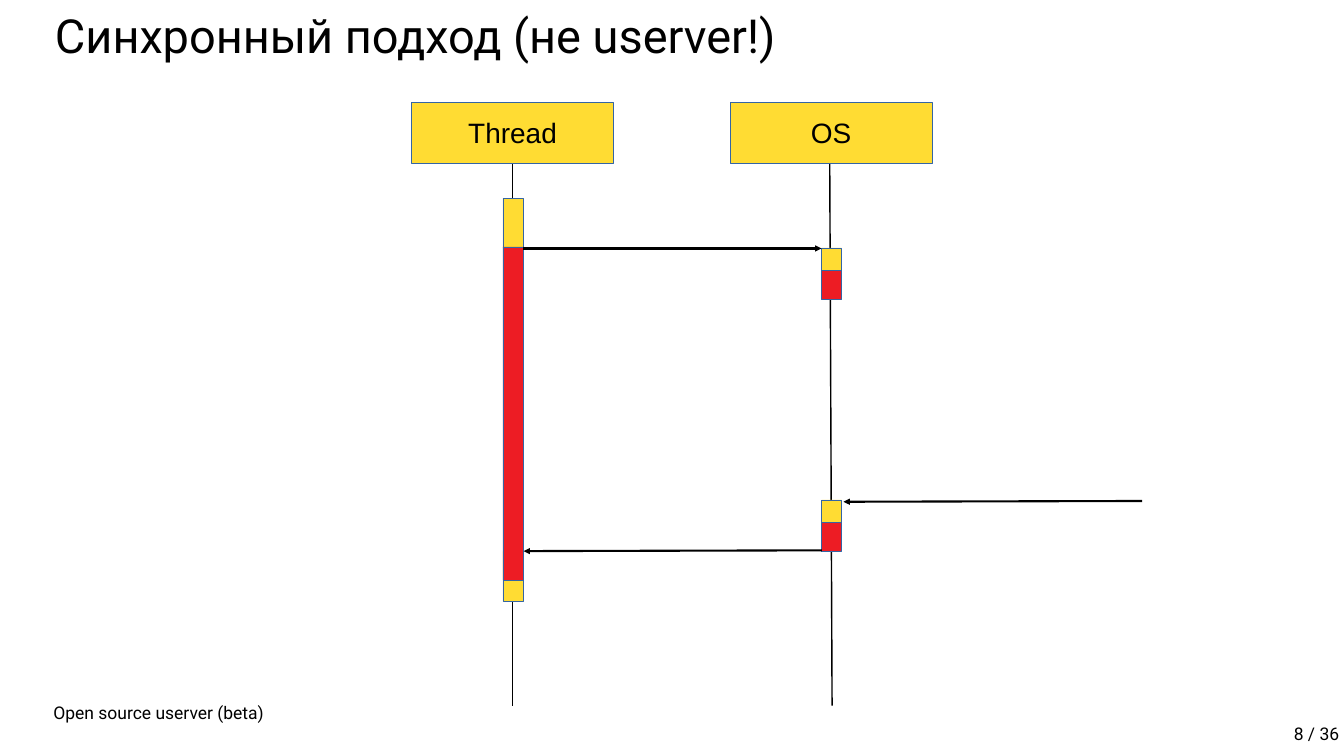
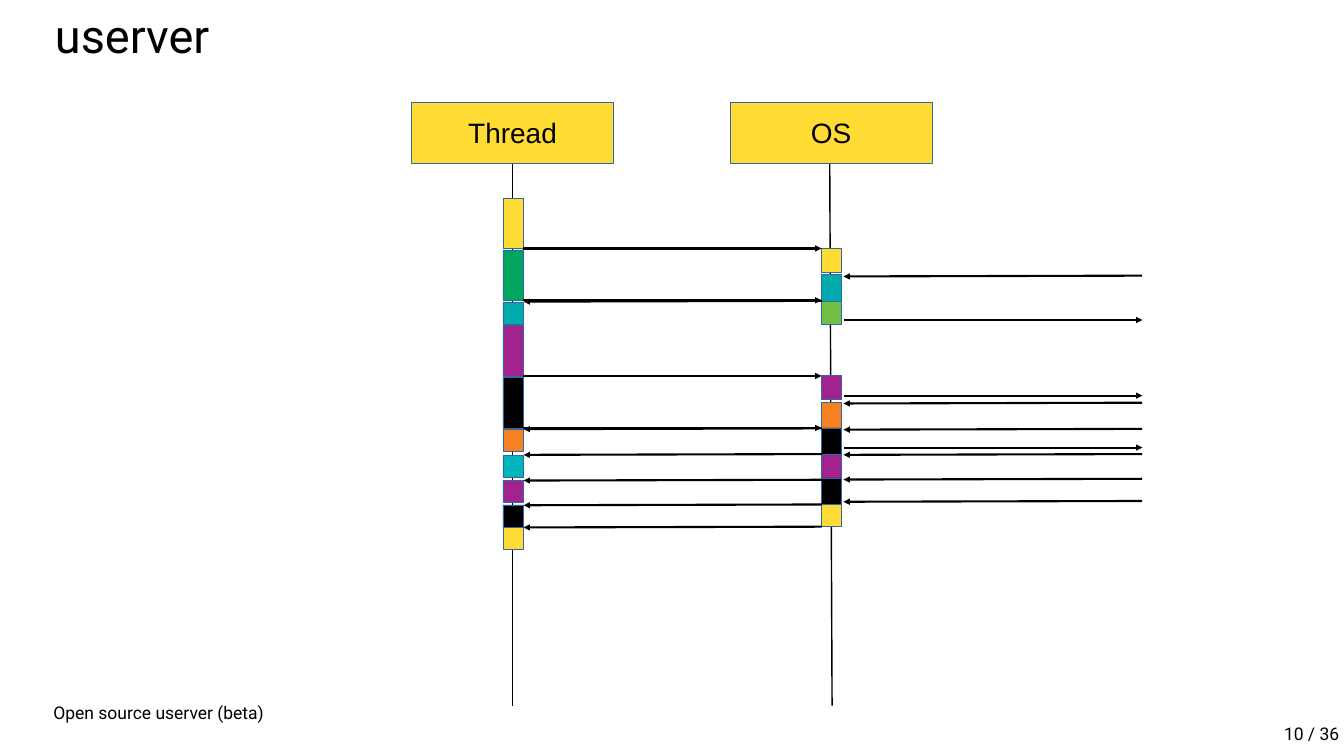
import pptx
import pptx.util
import pptx.dml.color
import pptx.enum.shapes
import pptx.enum.text
import pptx.oxml.ns
from lxml import etree

Pt = pptx.util.Pt
RGB = pptx.dml.color.RGBColor
ALIGN = pptx.enum.text.PP_ALIGN
ANCHOR = pptx.enum.text.MSO_ANCHOR

# Colours
BLACK = RGB(0x00, 0x00, 0x00)
YELLOW = RGB(0xFF, 0xDC, 0x33)
RED = RGB(0xED, 0x1C, 0x24)
GREEN = RGB(0x00, 0xA6, 0x5D)
LIME = RGB(0x72, 0xBF, 0x44)
TEAL = RGB(0x00, 0xAA, 0xAD)
CYAN = RGB(0x00, 0xB6, 0xBD)
PURPLE = RGB(0xA3, 0x23, 0x8E)
ORANGE = RGB(0xF5, 0x82, 0x20)
OUTLINE = RGB(0x34, 0x65, 0xA4)

# Sequence diagram geometry, in points
THREAD_X, OS_X, BAR_W = 718.5, 1173.6, 28.8
LONG, CALL_H, EVENT_H, RESUME_H = 72, 34.6, 37.4, 31.7
# Arrow kinds: start x, end x, drop along the arrow
CALL = (747.4, 1173.6, 0)
REPLY = (1174, 748, 1.1)
SEND = (1206, 1632, 0)
RECEIVE = (1631.5, 1205, 1.1)

# Blocks are (top, height, colour), listed from back to front
SYNC = dict(
    title="Синхронный подход (не userver!)",
    page="8 / 36",
    thread=[(283, LONG, YELLOW), (787.7, LONG - 30, YELLOW),
            (352.8, 475.9, RED)],
    os=[(354.2, LONG, YELLOW), (386.6, 41, RED),
        (714.2, LONG, YELLOW), (745.9, 41, RED)],
    arrows=[(CALL, [355]), (REPLY, [786.2]), (RECEIVE, [715.7])],
)
# The last thread block reaches below the waiting time
SYNC["thread"][1] = (787.7, LONG, YELLOW)

USERVER = dict(
    title="userver",
    page="10 / 36",
    thread=[(283, LONG, YELLOW), (357, LONG, GREEN), (431.3, RESUME_H, TEAL),
            (465.1, LONG, PURPLE), (539.3, LONG, BLACK),
            (612.7, RESUME_H, ORANGE), (650.2, RESUME_H, CYAN),
            (686.2, RESUME_H, PURPLE), (721.4, RESUME_H, BLACK),
            (753.1, RESUME_H, YELLOW)],
    os=[(354.2, CALL_H, YELLOW), (428.4, CALL_H, LIME), (392.4, EVENT_H, TEAL),
        (536.4, CALL_H, PURPLE), (574.6, EVENT_H, ORANGE),
        (715, EVENT_H, YELLOW), (647.3, EVENT_H, PURPLE),
        (611.3, EVENT_H, BLACK), (682.6, EVENT_H, BLACK)],
    arrows=[(CALL, [355, 429.1, 537.1, 611.3]),
            (REPLY, [429.8, 612, 648.7, 685.4, 720.7, 752.4]),
            (SEND, [457.2, 565.2, 639.4]),
            (RECEIVE, [393.8, 575.3, 612.7, 648.7, 684, 715.7])],
)


def set_text(tf, text, size, font="Roboto", align=ALIGN.LEFT,
             anchor=ANCHOR.TOP, spacing=0.9, wrap=True):
    tf.auto_size = pptx.enum.text.MSO_AUTO_SIZE.NONE
    tf.word_wrap = wrap
    tf.vertical_anchor = anchor
    tf.text = text
    p = tf.paragraphs[0]
    p.alignment = align
    p.line_spacing = spacing
    p.font.size = Pt(size)
    p.font.name = font
    p.font.color.rgb = BLACK


def add_title(slide, text):
    sp = slide.shapes.title
    sp.left, sp.top, sp.width, sp.height = Pt(71.3), Pt(14.4), Pt(1886.4), Pt(100.8)
    set_text(sp.text_frame, text, 67)


def add_footer(slide, text, left, top, align):
    sp = slide.shapes.add_textbox(Pt(left), Pt(top), Pt(817.2), Pt(40.3))
    set_text(sp.text_frame, text, 25, align=align, anchor=ANCHOR.BOTTOM)


def add_box(slide, left, top, width, height, fill):
    sp = slide.shapes.add_shape(pptx.enum.shapes.MSO_SHAPE.RECTANGLE,
                                Pt(left), Pt(top), Pt(width), Pt(height))
    sp.shadow.inherit = False
    sp.fill.solid()
    sp.fill.fore_color.rgb = fill
    sp.line.color.rgb = OUTLINE
    sp.line.width = Pt(0)
    return sp


def add_header(slide, text, left):
    sp = add_box(slide, left, 146.2, 288, 86.4, YELLOW)
    set_text(sp.text_frame, text, 40, "Arial", ALIGN.CENTER, ANCHOR.MIDDLE,
             spacing=1.0, wrap=False)


def add_line(slide, x1, y1, x2, y2, width=0, arrow=False):
    cxn = slide.shapes.add_connector(pptx.enum.shapes.MSO_CONNECTOR.STRAIGHT,
                                     Pt(x1), Pt(y1), Pt(x2), Pt(y2))
    cxn.line.color.rgb = BLACK
    cxn.line.width = Pt(width)
    qn = pptx.oxml.ns.qn
    sp_pr = cxn._element.spPr
    if arrow:
        etree.SubElement(sp_pr.find(qn("a:ln")), qn("a:tailEnd"), type="triangle")
    etree.SubElement(sp_pr, qn("a:effectLst"))


def add_sequence_slide(prs, content):
    slide = prs.slides.add_slide(prs.slide_layouts[5])
    add_title(slide, content["title"])
    add_footer(slide, "Open source userver (beta)", 69.1, 997.2, ALIGN.LEFT)
    add_footer(slide, content["page"], 1103, 1026, ALIGN.RIGHT)

    # Lifelines and their headers
    add_line(slide, 732.2, 180, 732.2, 1008)
    add_line(slide, 1185.1, 172.8, 1188.7, 1008)
    add_header(slide, "Thread", 588.2)
    add_header(slide, "OS", 1043.3)

    # Activity blocks
    for left, blocks in ((THREAD_X, content["thread"]), (OS_X, content["os"])):
        for top, height, fill in blocks:
            add_box(slide, left, top, BAR_W, height, fill)

    # Messages
    for (x1, x2, drop), tops in content["arrows"]:
        for y in tops:
            add_line(slide, x1, y, x2, y + drop, width=3, arrow=True)


def main():
    prs = pptx.Presentation()
    prs.slide_width, prs.slide_height = Pt(1920), Pt(1080)
    for content in (SYNC, USERVER):
        add_sequence_slide(prs, content)
    prs.save("out.pptx")


if __name__ == "__main__":
    main()
